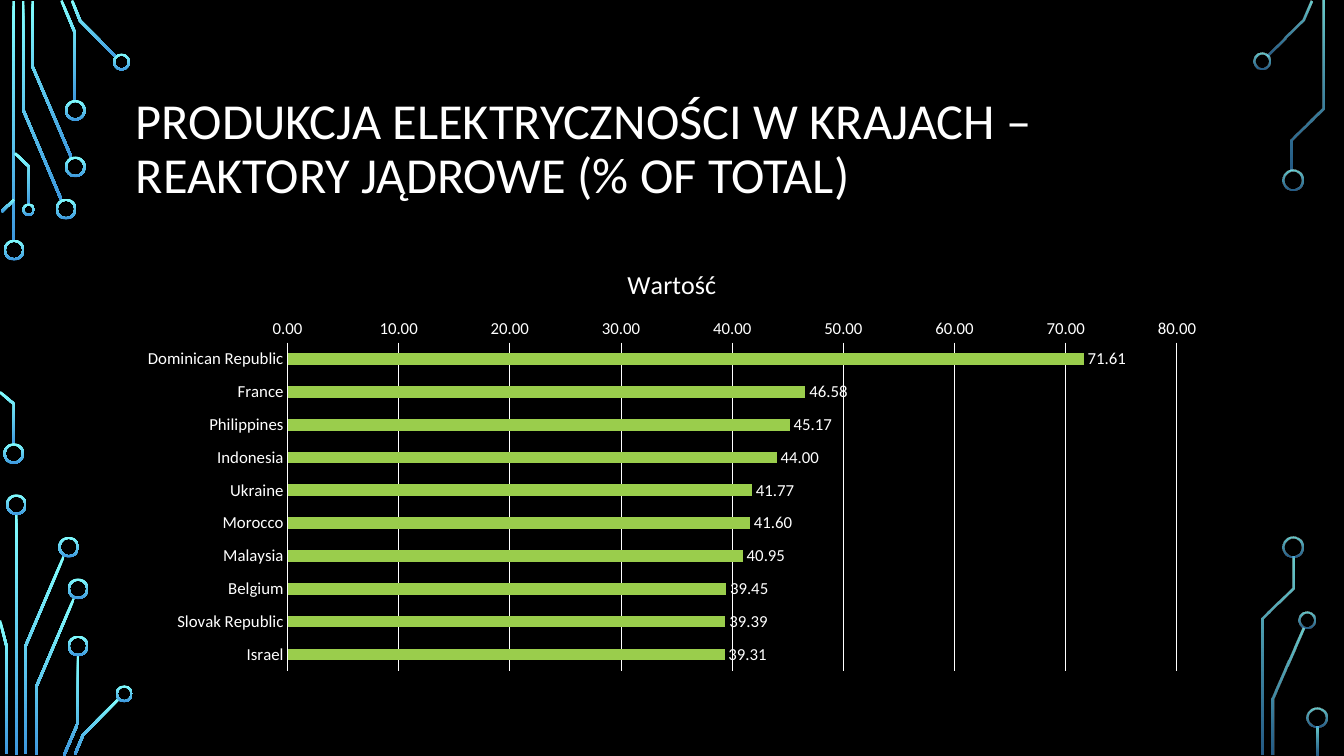
import math
from typing import NamedTuple

from pptx import Presentation
from pptx import util as u
from pptx.chart.data import CategoryChartData
from pptx.dml.color import RGBColor
from pptx.enum import chart as ch
from pptx.enum import shapes, text
from pptx.oxml.ns import qn
from lxml import etree

BLACK = RGBColor(0x00, 0x00, 0x00)
WHITE = RGBColor(0xFF, 0xFF, 0xFF)
GREEN = RGBColor(0x9A, 0xCD, 0x4C)
CYAN = RGBColor(0x82, 0xFF, 0xFF)
BLUE = RGBColor(0x3D, 0x97, 0xDE)
FONT = "Calibri"

TRACE_WIDTH = 1.8
RING_WIDTH = 1.5
LARGE, MEDIUM, SMALL = 14.8, 12.2, 9.0
OPAQUE = (100, 100)
FADED = (80, 60)

Point = tuple[float, float]


class Ring(NamedTuple):
    x: float
    y: float
    diameter: float = LARGE


class Stem(NamedTuple):
    left: float
    top: float
    height: float


class Circuit(NamedTuple):
    opacity: tuple[int, int]
    stems: list[Stem]
    traces: list[list[Point]]
    rings: list[Ring]


LEFT_CIRCUIT = Circuit(
    OPAQUE,
    [Stem(8.9, 0.7, 172), Stem(10.8, 367.2, 172)],
    [
        [(43.9, 142.9), (16.6, 78.5), (16.6, 0.7)],
        [(51.1, 112.7), (23.4, 47.9), (23.4, 0.7)],
        [(53.7, 72), (53.7, 23.8), (43.9, 0.4)],
        [(83.2, 41), (57.2, 14.8), (51.5, 0.4)],
        [(1.1, 151.2), (10.1, 142.6)],
        [(10.1, 317.5), (10.1, 288.7), (0, 280.1)],
        [(20.9, 146.2), (20.9, 119.2), (10.8, 109.4)],
        [(18.4, 538.6), (18.4, 461.2), (45.7, 397.1)],
        [(4.7, 538.6), (4.7, 461.5), (0, 443.2)],
        [(25.6, 539.3), (25.6, 491.4), (52.9, 427.3)],
        [(45.7, 539.6), (55.8, 516.2), (55.8, 468)],
        [(53.6, 538.9), (59.4, 524.9), (85, 499)],
    ],
    [
        Ring(10.1, 178.6), Ring(9.9, 324), Ring(47.2, 149.3), Ring(53.8, 119.2),
        Ring(53.8, 78.8), Ring(86.8, 44.3, MEDIUM), Ring(20.5, 149.8, SMALL),
        Ring(11.7, 360.5), Ring(49.1, 390.8), Ring(55.8, 420.6),
        Ring(55.8, 461.4), Ring(88.8, 495.6, MEDIUM),
    ],
)
RIGHT_CIRCUIT = Circuit(
    FADED,
    [Stem(940.3, 519.1, 20.2)],
    [
        [(905, 40), (930.6, 14), (936.4, 0.4)],
        [(909, 539.3), (909, 499.3), (931, 448.9)],
        [(923, 121.7), (923, 99.7), (945, 77.4), (945, 0.7)],
        [(901.8, 539.3), (901.8, 441.7), (924.1, 420.1), (924.1, 397.4)],
    ],
    [
        Ring(901.3, 43.5, MEDIUM), Ring(923.5, 128.7), Ring(933.4, 443.2, MEDIUM),
        Ring(923.8, 390.8), Ring(940.6, 512.6),
    ],
)

NUCLEAR_SHARE = {
    "Dominican Republic": 71.61,
    "France": 46.58,
    "Philippines": 45.17,
    "Indonesia": 44.00,
    "Ukraine": 41.77,
    "Morocco": 41.60,
    "Malaysia": 40.95,
    "Belgium": 39.45,
    "Slovak Republic": 39.39,
    "Israel": 39.31,
}


def paint(part, opacity: tuple[int, int]) -> None:
    """Fill with the vertical cyan-to-blue gradient, without outline or shadow."""
    part.shadow.inherit = False
    part.line.fill.background()
    part.fill.gradient()
    part.fill.gradient_angle = 270
    for stop, position, colour in zip(part.fill.gradient_stops, (0, 1), (CYAN, BLUE)):
        stop.position = position
        stop.color.rgb = colour
    for colour, percent in zip(part.element.spPr.iter(qn("a:srgbClr")), opacity):
        if percent < 100:
            etree.SubElement(colour, qn("a:alpha"), val=str(percent * 1000))


def ribbon(route: list[Point]) -> list[Point]:
    """Outline of a mitred band of TRACE_WIDTH along the route."""
    normals = []
    for (x1, y1), (x2, y2) in zip(route, route[1:]):
        length = math.hypot(x2 - x1, y2 - y1)
        normals.append(((y1 - y2) / length, (x2 - x1) / length))
    one_side, other_side = [], []
    for (x, y), (ax, ay), (bx, by) in zip(route, normals[:1] + normals, normals + normals[-1:]):
        reach = TRACE_WIDTH / 2 / (1 + ax * bx + ay * by)
        dx, dy = (ax + bx) * reach, (ay + by) * reach
        one_side.append((x + dx, y + dy))
        other_side.append((x - dx, y - dy))
    return one_side + other_side[::-1]


def draw_circuit(slide, circuit: Circuit) -> None:
    for stem in circuit.stems:
        bar = slide.shapes.add_shape(
            shapes.MSO_SHAPE.RECTANGLE,
            u.Pt(stem.left), u.Pt(stem.top), u.Pt(TRACE_WIDTH), u.Pt(stem.height))
        paint(bar, circuit.opacity)
    for route in circuit.traces:
        start, *rest = [(u.Pt(x), u.Pt(y)) for x, y in ribbon(route)]
        builder = slide.shapes.build_freeform(*start)
        builder.add_line_segments(rest, close=True)
        paint(builder.convert_to_shape(), circuit.opacity)
    for x, y, diameter in circuit.rings:
        node = slide.shapes.add_shape(
            shapes.MSO_SHAPE.DONUT, u.Pt(x - diameter / 2), u.Pt(y - diameter / 2),
            u.Pt(diameter), u.Pt(diameter))
        node.adjustments[0] = RING_WIDTH / diameter
        paint(node, circuit.opacity)


def style_font(font, size: float) -> None:
    font.name = FONT
    font.size = u.Pt(size)
    font.bold = False
    font.color.rgb = WHITE


def white_line(line) -> None:
    line.color.rgb = WHITE
    line.width = u.Pt(0.75)


def add_heading(slide) -> None:
    heading = slide.shapes.add_textbox(u.Pt(90), u.Pt(49), u.Pt(780), u.Pt(116.6))
    frame = heading.text_frame
    frame.word_wrap = True
    frame.vertical_anchor = text.MSO_ANCHOR.MIDDLE
    frame.text = "PRODUKCJA ELEKTRYCZNOŚCI W KRAJACH – REAKTORY JĄDROWE (% OF TOTAL)"
    frame.paragraphs[0].line_spacing = 0.9
    style_font(frame.paragraphs[0].runs[0].font, 36)


def add_share_chart(slide) -> None:
    data = CategoryChartData(number_format="0.00")
    data.categories = list(NUCLEAR_SHARE)
    data.add_series("Wartość", list(NUCLEAR_SHARE.values()))
    chart = slide.shapes.add_chart(
        ch.XL_CHART_TYPE.BAR_CLUSTERED,
        u.Pt(90), u.Pt(177.1), u.Pt(780), u.Pt(308.2), data).chart
    style_font(chart.font, 10)
    chart.has_legend = False
    chart.has_title = True
    caption = chart.chart_title.text_frame
    caption.text = "Wartość"
    style_font(caption.paragraphs[0].runs[0].font, 18.6)

    # Axes
    countries, shares = chart.category_axis, chart.value_axis
    for axis in (countries, shares):
        axis.major_tick_mark = axis.minor_tick_mark = ch.XL_TICK_MARK.NONE
        style_font(axis.tick_labels.font, 12)
    countries.reverse_order = True
    white_line(countries.format.line)
    shares.minimum_scale, shares.maximum_scale, shares.major_unit = 0, 80, 10
    shares.tick_labels.number_format = "0.00"
    shares.tick_labels.number_format_is_linked = False
    shares.format.line.fill.background()
    white_line(shares.major_gridlines.format.line)

    # Bars and their labels
    plot = chart.plots[0]
    plot.gap_width = 182
    plot.vary_by_categories = False
    bars = plot.series[0]
    bars.format.fill.solid()
    bars.format.fill.fore_color.rgb = GREEN
    labels = bars.data_labels
    labels.show_value = True
    labels.number_format = "0.00"
    labels.number_format_is_linked = False
    labels.position = ch.XL_LABEL_POSITION.OUTSIDE_END
    style_font(labels.font, 12)


def main() -> None:
    deck = Presentation()
    deck.slide_width, deck.slide_height = u.Pt(960), u.Pt(540)
    slide = deck.slides.add_slide(deck.slide_layouts[6])
    slide.background.fill.solid()
    slide.background.fill.fore_color.rgb = BLACK
    for circuit in (LEFT_CIRCUIT, RIGHT_CIRCUIT):
        draw_circuit(slide, circuit)
    add_heading(slide)
    add_share_chart(slide)
    deck.save("out.pptx")


if __name__ == "__main__":
    main()
